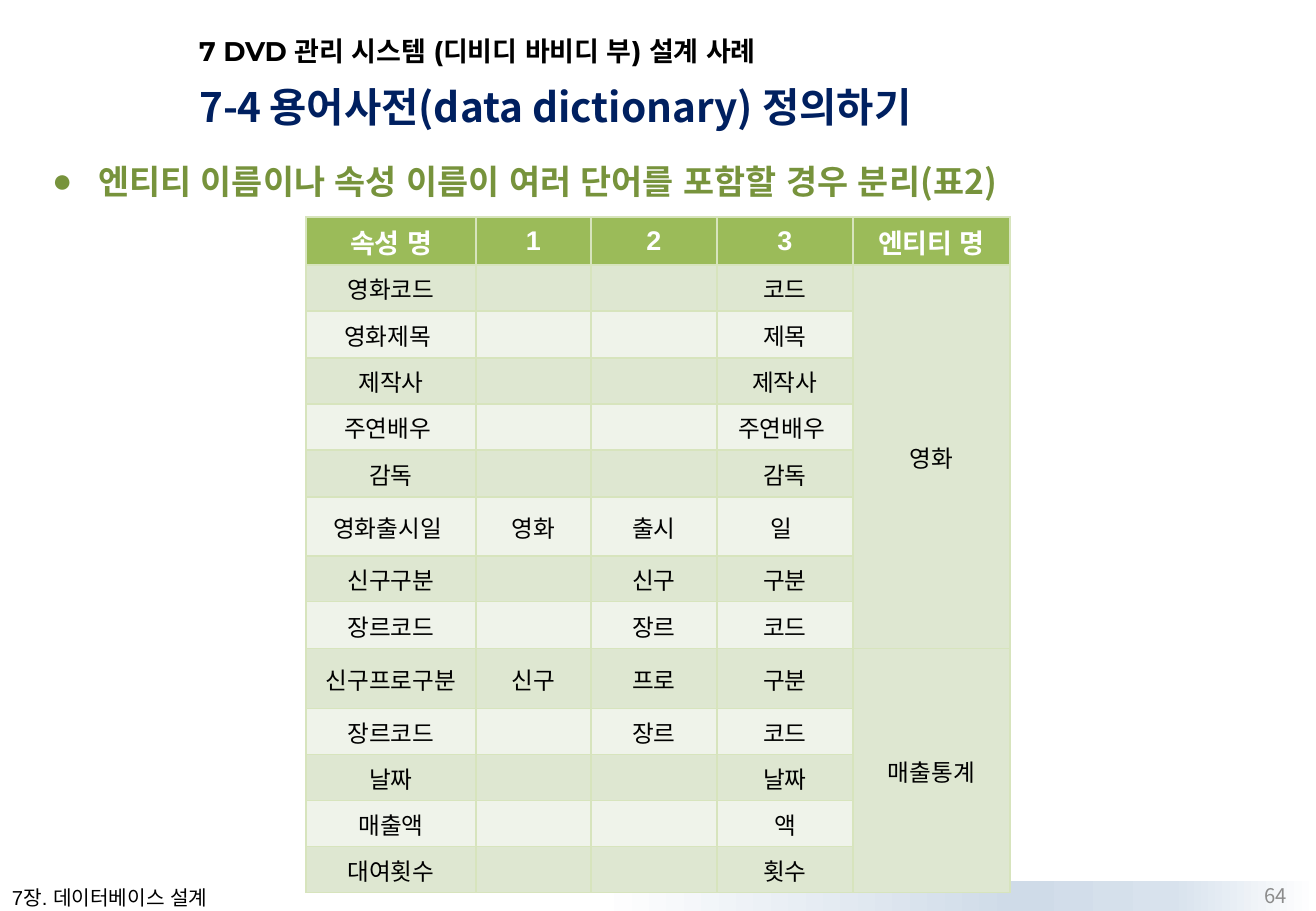
import itertools

import pptx
import pptx.dml.color
import pptx.enum.lang
import pptx.enum.shapes
import pptx.enum.text
import pptx.oxml
import pptx.oxml.ns
import pptx.util

ALIGN = pptx.enum.text.PP_ALIGN
ANCHOR = pptx.enum.text.MSO_ANCHOR
NOTO = "Noto Sans CJK KR"

CHAPTER = "7 DVD 관리 시스템 (디비디 바비디 부) 설계 사례"
SECTION = [("7-4", 24), (" ", 20), ("용어사전(data dictionary) 정의하기", 24)]
POINT = "엔티티 이름이나 속성 이름이 여러 단어를 포함할 경우 분리(표2)"
FOOTER = "7장. 데이터베이스 설계"
PAGE = "64"
TERMS = [
    ("속성 명", "1", "2", "3", "엔티티 명"),
    ("영화코드", "", "", "코드", "영화"),
    ("영화제목 ", "", "", "제목", ""),
    ("제작사", "", "", "제작사", ""),
    ("주연배우 ", "", "", "주연배우 ", ""),
    ("감독", "", "", "감독", ""),
    ("영화출시일 ", "영화", "출시", "일 ", ""),
    ("신구구분", "", "신구", "구분", ""),
    ("장르코드", "", "장르", "코드", ""),
    ("신구프로구분", "신구", "프로", "구분", "매출통계"),
    ("장르코드", "", "장르", "코드", ""),
    ("날짜", "", "", "날짜", ""),
    ("매출액", "", "", "액", ""),
    ("대여횟수", "", "", "횟수", ""),
]
ENTITY_ROWS = [(1, 8), (9, 13)]
COLUMN_EDGES = [306, 476, 591, 717, 853, 1010]
ROW_EDGES = [217, 265, 311, 358, 404, 450, 497, 556, 602, 649, 709, 755, 801, 847, 893]
HEADER_FILL, ODD_FILL, EVEN_FILL, RULE = "9BBB59", "DEE7D1", "EFF3EA", "D7E4BD"
BAND_STOPS = [(0, "FFFFFF"), (58, "CFDBE8"), (80, "D8E2ED"), (100, "FFFFFF")]


def px(length):
    return round(length * 914400 / 121.5)


def color(value):
    return pptx.dml.color.RGBColor.from_string(value)


def xml(tag, content="", **attributes):
    listed = " ".join(f'{key}="{value}"' for key, value in attributes.items())
    return pptx.oxml.parse_xml(f"<a:{tag} {pptx.oxml.ns.nsdecls('a')} {listed}>{content}</a:{tag}>")


def add_run(paragraph, text, size, fill, bold=False, face=NOTO):
    run = paragraph.add_run()
    run.text = text
    font = run.font
    font.size = pptx.util.Pt(size)
    font.bold = bold
    font.name = face
    font.language_id = pptx.enum.lang.MSO_LANGUAGE_ID.KOREAN
    font.color.rgb = color(fill)
    font._element.find(pptx.oxml.ns.qn("a:latin")).addnext(xml("ea", typeface=NOTO))


def place(shape, left, top, width, height, anchor, wrap=True):
    shape.left, shape.top, shape.width, shape.height = map(px, (left, top, width, height))
    frame = shape.text_frame
    frame.auto_size = pptx.enum.text.MSO_AUTO_SIZE.NONE
    frame.word_wrap = wrap
    frame.vertical_anchor = anchor
    paragraph = frame.paragraphs[0]
    paragraph.alignment = ALIGN.LEFT
    paragraph.space_before = pptx.util.Pt(0)
    return paragraph


def indent(paragraph, margin, bullet):
    properties = paragraph._p.get_or_add_pPr()
    properties.set("marL", str(px(margin)))
    properties.set("indent", str(-px(margin)))
    properties.append(bullet)


def border(cell):
    properties = cell._tc.get_or_add_tcPr()
    line = f'<a:solidFill><a:srgbClr val="{RULE}"/></a:solidFill>'
    for position, side in enumerate(("lnL", "lnR", "lnT", "lnB")):
        properties.insert(position, xml(side, line, w=12700))


def add_terms(slide):
    left, top = COLUMN_EDGES[0], ROW_EDGES[0]
    width, height = COLUMN_EDGES[-1] - left, ROW_EDGES[-1] - top
    table = slide.shapes.add_table(
        len(TERMS), len(TERMS[0]), px(left), px(top), px(width), px(height)).table
    table.first_row = table.horz_banding = False
    for column, (start, end) in zip(table.columns, itertools.pairwise(COLUMN_EDGES)):
        column.width = px(end - start)
    for row, (start, end) in zip(table.rows, itertools.pairwise(ROW_EDGES)):
        row.height = px(end - start)
    entity_column = len(TERMS[0]) - 1
    for r, words in enumerate(TERMS):
        for c, word in enumerate(words):
            cell = table.cell(r, c)
            cell.margin_left = cell.margin_right = cell.margin_top = px(1)
            cell.margin_bottom = 0
            cell.vertical_anchor = ANCHOR.MIDDLE
            cell.fill.solid()
            shade = ODD_FILL if r % 2 or c == entity_column else EVEN_FILL
            cell.fill.fore_color.rgb = color(shade if r else HEADER_FILL)
            border(cell)
            paragraph = cell.text_frame.paragraphs[0]
            paragraph.alignment = ALIGN.CENTER
            if word:
                size, fill = (14, "000000") if r else (16, "FFFFFF")
                add_run(paragraph, word, size, fill, r == 0, "Arial")
    for first, last in ENTITY_ROWS:
        table.cell(first, entity_column).merge(table.cell(last, entity_column))


def add_band(slide):
    band = slide.shapes.add_shape(
        pptx.enum.shapes.MSO_SHAPE.RECTANGLE, px(597), px(881), px(719), px(30))
    band.shadow.inherit = False
    band.line.fill.background()
    band.fill.gradient()
    band.fill.gradient_angle = 0
    stops = band._element.spPr.find(".//" + pptx.oxml.ns.qn("a:gsLst"))
    for stop in list(stops):
        stops.remove(stop)
    for percent, value in BAND_STOPS:
        stops.append(xml("gs", f'<a:srgbClr val="{value}"/>', pos=percent * 1000))


def main():
    deck = pptx.Presentation()
    deck.slide_width, deck.slide_height = px(1316), px(911)
    slide = deck.slides.add_slide(deck.slide_layouts[3])
    chapter, point, section = slide.placeholders
    add_band(slide)

    add_run(place(chapter, 187, 31, 814, 40, ANCHOR.MIDDLE),
            CHAPTER, 16, "000000", True, "Montserrat")

    heading = place(section, 187, 81, 937, 56, ANCHOR.BOTTOM)
    indent(heading, 0, xml("buNone"))
    for text, size in SECTION:
        add_run(heading, text, size, "002060", True)

    statement = place(point, 40, 142, 1255, 719, ANCHOR.TOP)
    indent(statement, 46, xml("buChar", char="●"))
    statement.line_spacing = 1.3
    add_run(statement, POINT, 20, "77933C", True)

    footer = slide.shapes.add_textbox(0, 0, 0, 0)
    add_run(place(footer, 0, 879, 239, 36, ANCHOR.TOP, False),
            FOOTER, 12, "000000", face="Arial")

    page = slide.shapes.add_textbox(0, 0, 0, 0)
    number = place(page, 992, 880, 307, 30, ANCHOR.MIDDLE)
    number.alignment = ALIGN.RIGHT
    add_run(number, PAGE, 12, "8C8C8C")

    add_terms(slide)
    deck.save("out.pptx")


if __name__ == "__main__":
    main()
